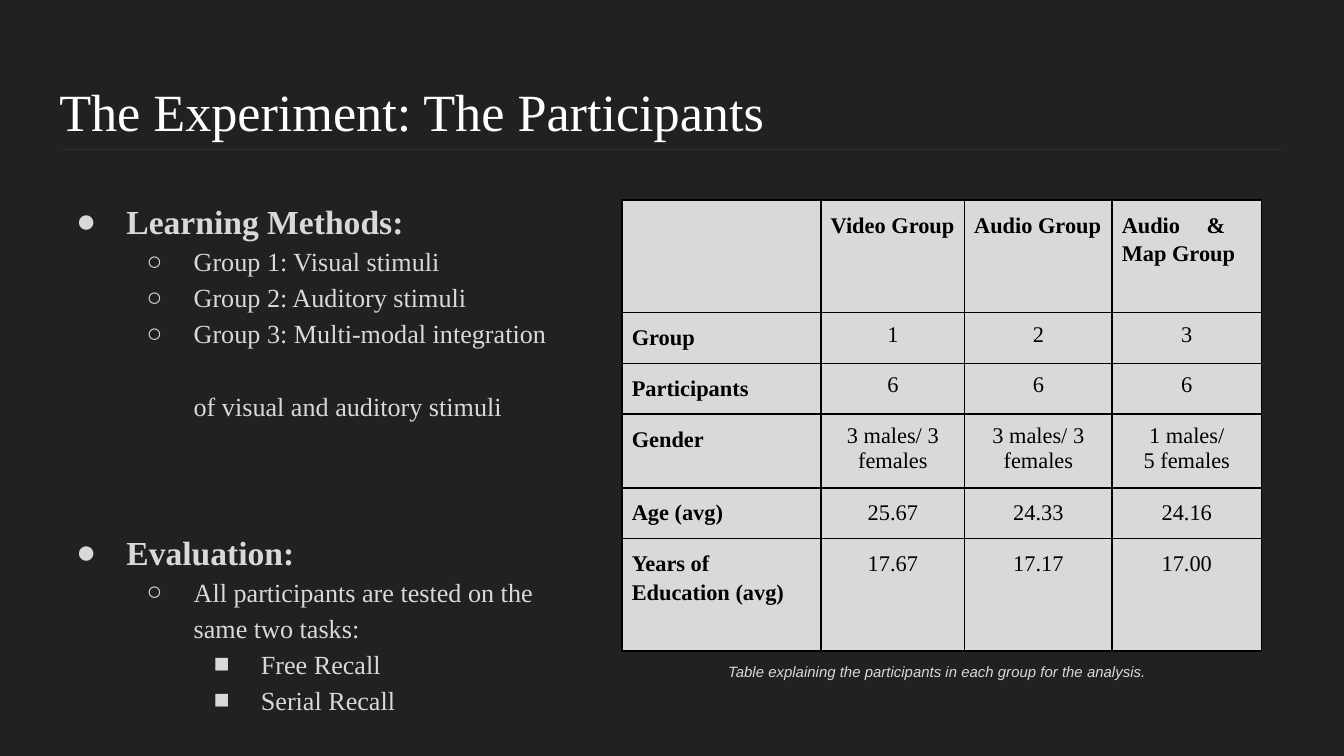
from copy import deepcopy
from dataclasses import dataclass
from lxml.etree import SubElement
from pptx import Presentation
from pptx.dml.color import RGBColor
from pptx.enum.shapes import MSO_CONNECTOR
from pptx.enum.text import MSO_ANCHOR, MSO_AUTO_SIZE, PP_ALIGN
from pptx.oxml import parse_xml
from pptx.oxml.ns import nsdecls, qn
from pptx.util import Cm, Pt


@dataclass(frozen=True)
class Theme:
    """Colours, fonts and type sizes of the deck."""
    back: str = "212121"
    white: str = "FFFFFF"
    pale: str = "D9D9D9"
    black: str = "000000"
    rule: str = "303030"
    serif: str = "Times New Roman"
    sans: str = "Arial"
    title: int = 28
    head: int = 18
    item: int = 14
    cell: int = 12
    note: int = 8


THEME = Theme()

POINTS = [
    (0, "●", "Learning Methods:", 0),
    (1, "○", "Group 1: Visual stimuli", 0),
    (1, "○", "Group 2: Auditory stimuli", 0),
    (1, "○", "Group 3: Multi-modal integration", 0),
    (1, None, "of visual and auditory stimuli", 19.4),
    (0, "●", "Evaluation:", 55.8),
    (1, "○", "All participants are tested on the same two tasks:", 0),
    (2, "■", "Free Recall", 0),
    (2, "■", "Serial Recall", 0),
]

ROWS = [
    ["", "Video Group", "Audio Group", "Audio & \vMap Group"],
    ["Group", "1", "2", "3"],
    ["Participants", "6", "6", "6"],
    ["Gender", "3 males/ 3 females", "3 males/ 3 females", "1 males/\n5 females"],
    ["Age (avg)", "25.67", "24.33", "24.16"],
    ["Years of\nEducation (avg)", "17.67", "17.17", "17.00"],
]
WIDTHS = [3.76, 2.71, 2.79, 2.82]
HEIGHTS = [2.13, 0.96, 0.96, 1.39, 0.96, 2.13]


def write(para, text, size, color, font=THEME.serif, bold=False, italic=False,
          align=PP_ALIGN.LEFT, lead=1.0, before=0):
    """Put formatted text in a paragraph."""
    para.text = text
    para.alignment = align
    para.line_spacing = lead
    para.space_before = Pt(before)
    for run in para.runs:
        face = run.font
        face.name, face.size = font, Pt(size)
        face.bold, face.italic = bold, italic
        face.color.rgb = RGBColor.from_string(color)
    for gap in para._p.findall(qn("a:br")):
        gap.insert(0, deepcopy(para.runs[0].font._rPr))


def frame(shape, left, top, width, height, anchor=MSO_ANCHOR.TOP):
    """Place a text shape and return its text frame."""
    shape.left, shape.top, shape.width, shape.height = map(
        Cm, (left, top, width, height))
    body = shape.text_frame
    body.word_wrap = True
    body.auto_size = MSO_AUTO_SIZE.NONE
    body.vertical_anchor = anchor
    body.margin_left = body.margin_right = Cm(0.25)
    body.margin_top = body.margin_bottom = Cm(0.25)
    return body


def mark(para, level, sign):
    """Indent a list paragraph and give it a bullet sign."""
    para.level = level
    props = para._p.get_or_add_pPr()
    props.set("marL", str(Cm(1.27 * (level + 1))))
    props.set("indent", str(-Cm(0.89 if level else 0.95)))
    if sign is None:
        props.set("indent", "0")
        SubElement(props, qn("a:buNone"))
        return
    tint = SubElement(props, qn("a:buClr"))
    SubElement(tint, qn("a:srgbClr"), val=THEME.pale)
    SubElement(props, qn("a:buFont"), typeface=THEME.serif)
    SubElement(props, qn("a:buChar"), char=sign)


def fill_list(body):
    """Write the bullet list."""
    for spot, (level, sign, text, before) in enumerate(POINTS):
        para = body.add_paragraph() if spot else body.paragraphs[0]
        mark(para, level, sign)
        write(para, text, THEME.item if level else THEME.head, THEME.pale,
              bold=level == 0, lead=1.15, before=before)


def border(cell):
    """Draw a thin line on each side of a cell."""
    props = cell._tc.get_or_add_tcPr()
    for spot, side in enumerate(("lnL", "lnR", "lnT", "lnB")):
        props.insert(spot, parse_xml(
            f'<a:{side} {nsdecls("a")} w="{Pt(1)}"><a:solidFill>'
            f'<a:srgbClr val="{THEME.black}"/></a:solidFill></a:{side}>'))


def fill_cell(cell, text, label, lead):
    """Fill, frame and write one table cell."""
    cell.fill.solid()
    cell.fill.fore_color.rgb = RGBColor.from_string(THEME.pale)
    border(cell)
    cell.margin_left = cell.margin_right = Cm(0.18)
    cell.margin_top = cell.margin_bottom = Cm(0.18)
    body = cell.text_frame
    for spot, line in enumerate(text.split("\n")):
        para = body.add_paragraph() if spot else body.paragraphs[0]
        write(para, line, THEME.cell, THEME.black, bold=label, lead=lead,
              align=PP_ALIGN.JUSTIFY if label else PP_ALIGN.CENTER)


def add_grid(slide):
    """Add the table of groups."""
    grid = slide.shapes.add_table(
        len(ROWS), len(WIDTHS), Cm(11.76), Cm(3.78),
        Cm(sum(WIDTHS)), Cm(sum(HEIGHTS))).table
    grid.first_row = grid.horz_banding = False
    for col, width in zip(grid.columns, WIDTHS):
        col.width = Cm(width)
    for row, height in zip(grid.rows, HEIGHTS):
        row.height = Cm(height)
    for down, texts in enumerate(ROWS):
        for over, text in enumerate(texts):
            label = down == 0 or over == 0
            fill_cell(grid.cell(down, over), text, label,
                      1.15 if label or down > 3 else 1.0)


def add_rule(slide):
    """Add the line under the title."""
    rule = slide.shapes.add_connector(
        MSO_CONNECTOR.STRAIGHT, Cm(1.17), Cm(2.82), Cm(24.23), Cm(2.82))
    rule.line.color.rgb = RGBColor.from_string(THEME.rule)
    rule.line.width = Pt(0.75)
    SubElement(rule._element.spPr, qn("a:effectLst"))


def main():
    """Build and save the slide."""
    deck = Presentation()
    deck.slide_width, deck.slide_height = Cm(25.4), Cm(14.29)
    slide = deck.slides.add_slide(deck.slide_layouts[1])
    slide.background.fill.solid()
    slide.background.fill.fore_color.rgb = RGBColor.from_string(THEME.back)

    title = frame(slide.shapes.title, 0.87, 1.24, 23.67, 1.59)
    write(title.paragraphs[0], "The Experiment: The Participants",
          THEME.title, THEME.white)
    fill_list(frame(slide.placeholders[1], 0.87, 3.43, 9.83, 9.27))
    add_grid(slide)
    add_rule(slide)

    note = frame(slide.shapes.add_textbox(0, 0, 0, 0),
                 13.51, 12.5, 8.53, 0.33, MSO_ANCHOR.MIDDLE)
    write(note.paragraphs[0],
          "Table explaining the participants in each group for the analysis.",
          THEME.note, THEME.pale, font=THEME.sans, italic=True,
          align=PP_ALIGN.JUSTIFY, lead=1.15)
    deck.save("out.pptx")


if __name__ == "__main__":
    main()
